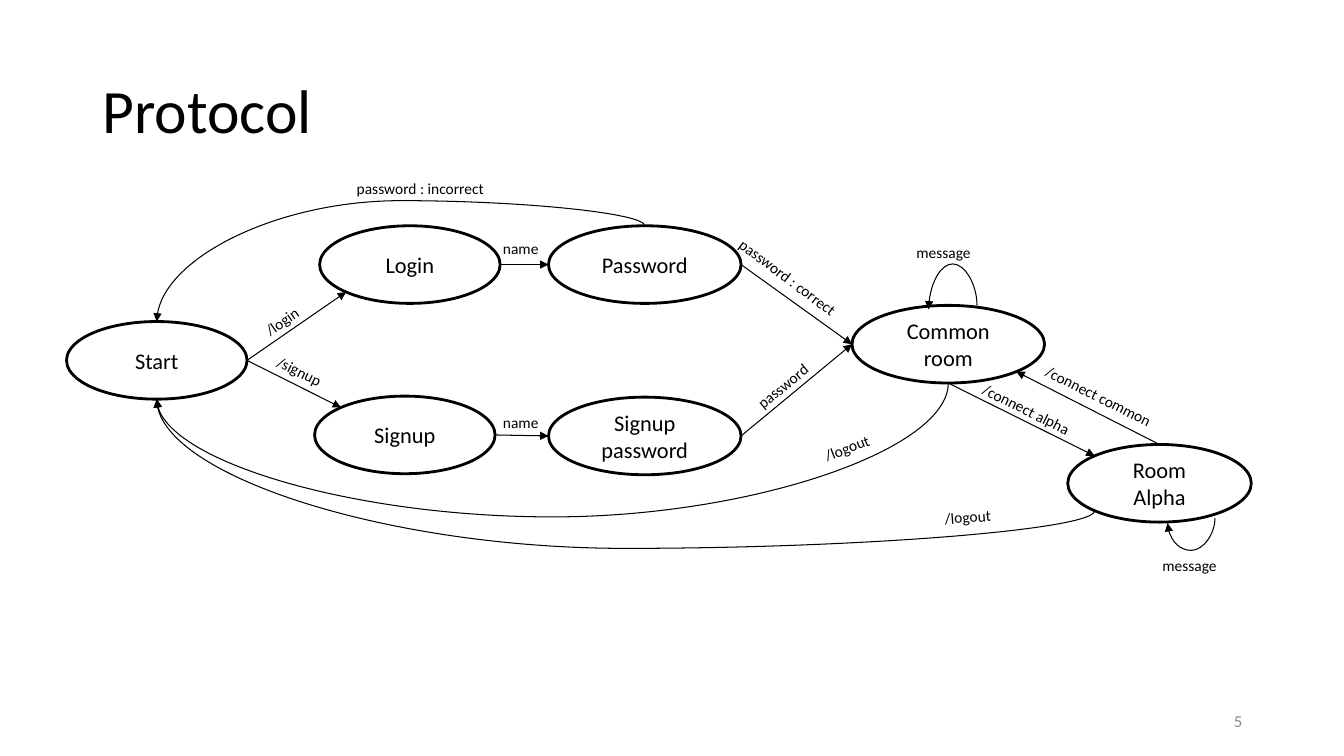
"""Build the protocol state diagram slide."""
from math import sqrt

from lxml.etree import SubElement
from pptx import Presentation
from pptx.dml.color import RGBColor
from pptx.enum.shapes import MSO_CONNECTOR, MSO_SHAPE
from pptx.enum.text import MSO_ANCHOR, PP_ALIGN
from pptx.oxml.ns import qn
from pptx.util import Inches, Pt

BLACK = RGBColor(0x00, 0x00, 0x00)
WHITE = RGBColor(0xFF, 0xFF, 0xFF)
GREY = RGBColor(0x8B, 0x8B, 0x8B)
CELL = 0.1
NODE_ROWS = 7.7
LABEL_ROWS = 2.8
PORTS = {"n": (0, -1), "s": (0, 1), "w": (-1, 0), "e": (1, 0),
         "nw": (-1, -1), "sw": (-1, 1), "se": (1, 1)}

NODES = {
    "start": (6.6, 31.9, 17.9, ["Start"]),
    "password": (54.4, 22.4, 19.1, ["Password"]),
    "login": (31.7, 22.4, 17.9, ["Login"]),
    "common": (84.5, 30.3, 19.1, ["Common room"]),
    "alpha": (105.9, 44.1, 18.2, ["Room Alpha"]),
    "signup": (31.2, 39.3, 17.9, ["Signup"]),
    "new": (54.4, 39.4, 19.1, ["Signup", "password"]),
}
ARROWS = [
    ("signup", "e", "new", "w"), ("new", "e", "common", "w"),
    ("login", "e", "password", "w"), ("start", "e", "login", "sw"),
    ("start", "e", "signup", "nw"), ("password", "e", "common", "w"),
    ("common", "s", "alpha", "nw"), ("alpha", "n", "common", "se"),
]
RETURNS = [("password", "n", "n", 19.9), ("common", "s", "s", 51.3),
           ("alpha", "sw", "s", 54.4)]
LOOPS = [((96.9, 30.3), (92.1, 30.7), 26.2),
         ((120.5, 51.4), (115.8, 51.9), 54.6)]
LABELS = [
    ("/login", 24.7, 29, 10.6, 325.1),
    ("name", 48.9, 23.2, 7.8, 0),
    ("/signup", 26.2, 36.3, 10.6, 26.4),
    ("name", 48.9, 40.5, 7, 0),
    ("password : correct", 70.8, 28, 19.8, 36.8),
    ("password : incorrect", 34.4, 17.3, 26.3, 0),
    ("password", 72.9, 34.8, 14.5, 320.6),
    ("/logout", 80.6, 42.3, 10.6, 339.6),
    ("/logout", 92.7, 49.7, 10.6, 355.7),
    ("/connect common", 101.9, 39.6, 21.2, 26.4),
    ("/connect alpha", 96, 39.9, 14.5, 26.4),
    ("message", 89.9, 23.6, 9.4, 0),
    ("message", 114.3, 54.7, 9.4, 0),
]


def grid(*cells):
    return [Inches(c * CELL) for c in cells]


def port(name, side):
    x, y, w, _ = NODES[name]
    dx, dy = PORTS[side]
    reach = 1 / sqrt(dx * dx + dy * dy) / 2
    return (x + w / 2 + dx * reach * w,
            y + NODE_ROWS / 2 + dy * reach * NODE_ROWS)


class Diagram:
    """Draw styled diagram elements on one slide."""

    def __init__(self, slide, font="Calibri"):
        self.shapes = slide.shapes
        self.font = font

    def fill_text(self, sp, lines, size, color=BLACK, align=PP_ALIGN.LEFT,
                  anchor=MSO_ANCHOR.MIDDLE, spacing=1.0):
        tf = sp.text_frame
        tf.word_wrap = True
        tf.vertical_anchor = anchor
        for i, line in enumerate(lines):
            p = tf.add_paragraph() if i else tf.paragraphs[0]
            p.alignment = align
            p.line_spacing = spacing
            r = p.add_run()
            r.text = line
            r.font.name = self.font
            r.font.size = Pt(size)
            r.font.color.rgb = color

    def text(self, text, box, size, rotation=0, **style):
        sp = self.shapes.add_textbox(*grid(*box))
        sp.rotation = rotation
        self.fill_text(sp, [text], size, **style)

    def node(self, x, y, w, lines):
        sp = self.shapes.add_shape(MSO_SHAPE.OVAL, *grid(x, y, w, NODE_ROWS))
        sp.shadow.inherit = False
        sp.fill.solid()
        sp.fill.fore_color.rgb = WHITE
        sp.line.color.rgb = BLACK
        sp.line.width = Pt(2)
        self.fill_text(sp, lines, 16, align=PP_ALIGN.CENTER)

    def arrow(self, begin, end, kind=MSO_CONNECTOR.STRAIGHT):
        sp = self.shapes.add_connector(kind, *grid(*begin, *end))
        sp.line.color.rgb = BLACK
        sp.line.width = Pt(0.75)
        line = sp.element.spPr.find(qn("a:ln"))
        SubElement(line, qn("a:tailEnd"), type="triangle")
        SubElement(sp.element.spPr, qn("a:effectLst"))
        return sp

    def curve(self, begin, end, level):
        (x0, y0), (x1, y1) = begin, end
        cx, cy = (x0 + x1) / 2, (y0 + y1) / 2
        w, h = y1 - y0, x0 - x1
        sp = self.arrow((cx - w / 2, cy - h / 2), (cx + w / 2, cy + h / 2),
                        MSO_CONNECTOR.CURVE)
        sp.element.spPr.find(qn("a:xfrm")).set("rot", str(90 * 60000))
        guides = sp.element.spPr.find(qn("a:prstGeom")).find(qn("a:avLst"))
        bend = round((level - y0) / w * 100000)
        SubElement(guides, qn("a:gd"), name="adj1", fmla=f"val {bend}")


def main():
    prs = Presentation()
    prs.slide_width, prs.slide_height = Inches(13.33), Inches(7.5)
    d = Diagram(prs.slides.add_slide(prs.slide_layouts[6]))
    d.text("Protocol", (9.2, 4, 115, 14.5), 44, spacing=0.9)
    d.text("5", (94.2, 69.5, 30, 4), 12, color=GREY, align=PP_ALIGN.RIGHT)
    for node in NODES.values():
        d.node(*node)
    for source, out, target, into in ARROWS:
        d.arrow(port(source, out), port(target, into))
    for source, out, into, level in RETURNS:
        d.curve(port(source, out), port("start", into), level)
    for begin, end, level in LOOPS:
        d.curve(begin, end, level)
    for text, x, y, w, rotation in LABELS:
        d.text(text, (x, y, w, LABEL_ROWS), 11, rotation,
               anchor=MSO_ANCHOR.TOP)
    prs.save("out.pptx")


if __name__ == "__main__":
    main()
